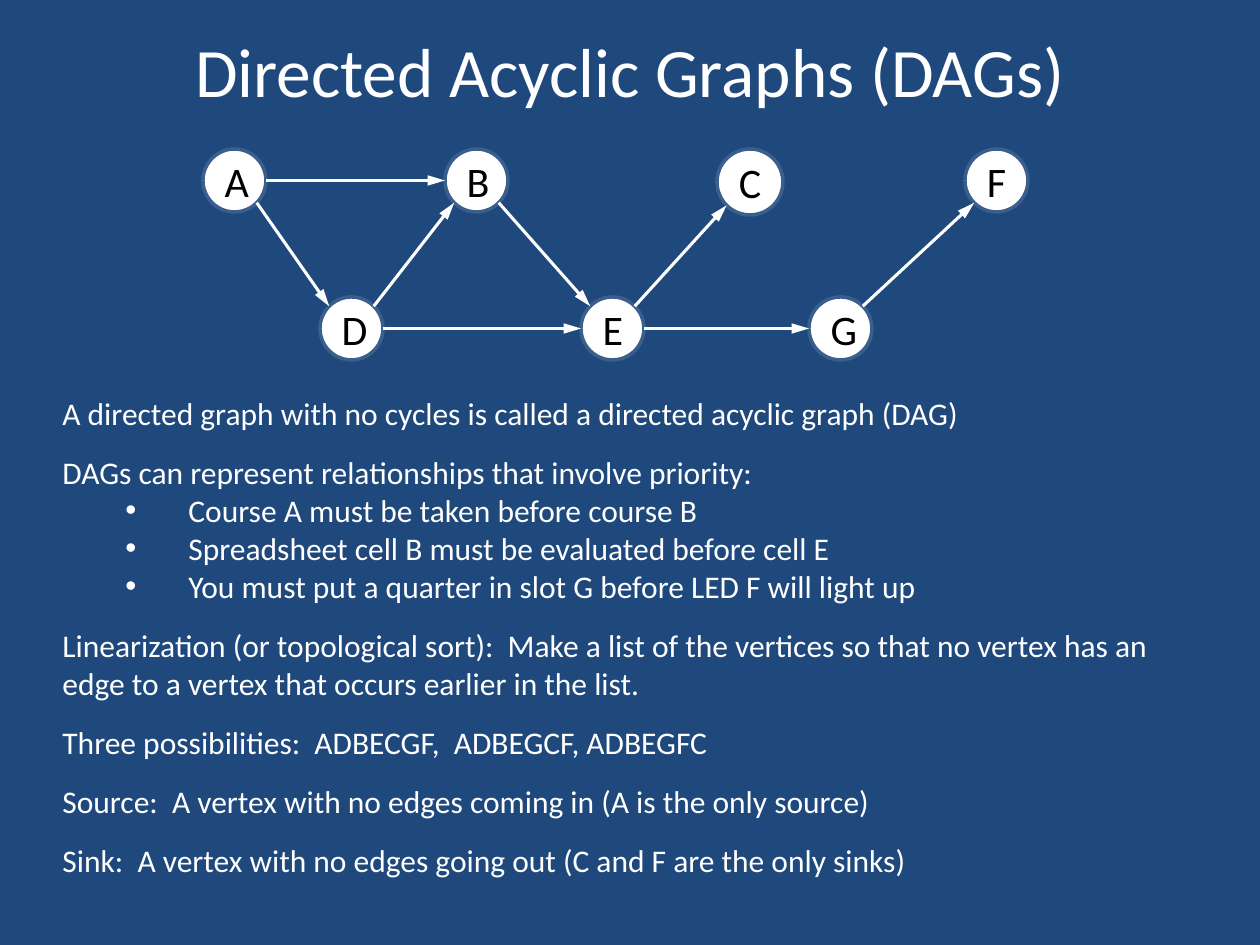
from math import sqrt
from pptx import Presentation
from pptx.dml.color import RGBColor
from pptx.enum import shapes, text
from pptx.oxml.ns import qn
from pptx.util import Emu, Pt
from lxml import etree

TITLE = "Directed Acyclic Graphs (DAGs)"
UPPER, LOWER = 149, 297
NODES = {
    "A": (203, UPPER, 63), "B": (445, UPPER, 63), "C": (717, UPPER, 66),
    "F": (965, UPPER, 63), "D": (320, LOWER, 63), "E": (581, LOWER, 63),
    "G": (809, LOWER, 63),
}
EDGES = ["AB", "AD", "DB", "BE", "EC", "DE", "EG", "GF"]
NOTES = [
    ("A directed graph with no cycles is called a directed acyclic graph (DAG)", []),
    ("DAGs can represent relationships that involve priority:", [
        "Course A must be taken before course B",
        "Spreadsheet cell B must be evaluated before cell E",
        "You must put a quarter in slot G before LED F will light up"]),
    ("Linearization (or topological sort):  Make a list of the vertices so that "
     "no vertex has an edge to a vertex that occurs earlier in the list.", []),
    ("Three possibilities:  ADBECGF,  ADBEGCF, ADBEGFC", []),
    ("Source:  A vertex with no edges coming in (A is the only source)", []),
    ("Sink:  A vertex with no edges going out (C and F are the only sinks)", []),
]
THEME = {
    "font": "Calibri", "back": "1F497D", "light": "FFFFFF", "dark": "000000",
    "ring": "3A5F8C", "title": 39.6, "node": 24, "body": 18, "gap": 12.2,
    "ring_width": 2, "edge_width": 1.75,
}


def px(value):
    """Turn pixels into EMU."""
    return Emu(round(value * 914400 / 126))


def color(name):
    """Return a theme colour."""
    return RGBColor.from_string(THEME[name])


def write(para, words, size="body", ink="light", align=None, before=0):
    """Write one formatted paragraph."""
    para.alignment = align
    para.space_before = Pt(before)
    span = para.add_run()
    span.text = words
    span.font.name = THEME["font"]
    span.font.size = Pt(THEME[size])
    span.font.color.rgb = color(ink)


def add_bullet(para):
    """Give a paragraph a hanging bullet."""
    props = para._p.get_or_add_pPr()
    props.set("marL", str(px(126)))
    props.set("indent", str(-px(63)))
    etree.SubElement(props, qn("a:buFont"), typeface="Arial")
    etree.SubElement(props, qn("a:buChar"), char="•")


def add_frame(page, left, top, width, height):
    """Add a wrapping text box and return its frame."""
    frame = page.shapes.add_textbox(px(left), px(top), px(width), px(height)).text_frame
    frame.word_wrap = True
    return frame


def add_node(page, name):
    """Draw one labelled vertex."""
    left, top, size = NODES[name]
    node = page.shapes.add_shape(shapes.MSO_SHAPE.OVAL, px(left), px(top), px(size), px(size))
    node.shadow.inherit = False
    node.fill.solid()
    node.fill.fore_color.rgb = color("light")
    node.line.color.rgb = color("ring")
    node.line.width = Pt(THEME["ring_width"])
    node.text_frame.vertical_anchor = text.MSO_ANCHOR.MIDDLE
    write(node.text_frame.paragraphs[0], name, size="node", ink="dark",
          align=text.PP_ALIGN.CENTER)


def rim(name, other):
    """Return the point on a vertex rim that faces another vertex."""
    left, top, size = NODES[name]
    far_left, far_top, _ = NODES[other]
    radius = size / 2
    reach = radius if top == far_top else radius / sqrt(2)
    across = reach if far_left > left else -reach
    down = 0 if top == far_top else reach if far_top > top else -reach
    return px(left + radius + across), px(top + radius + down)


def add_edge(page, start, end):
    """Draw one arrow between two vertices."""
    edge = page.shapes.add_connector(
        shapes.MSO_CONNECTOR.STRAIGHT, *rim(start, end), *rim(end, start))
    edge.line.color.rgb = color("light")
    edge.line.width = Pt(THEME["edge_width"])
    etree.SubElement(edge.line._get_or_add_ln(), qn("a:tailEnd"),
                     type="triangle", w="med", len="lg")
    etree.SubElement(edge._element.spPr, qn("a:effectLst"))


def add_notes(page):
    """Write the explanations below the graph."""
    frame = add_frame(page, 50, 388, 1113, 538)
    for index, (lead, bullets) in enumerate(NOTES):
        para = frame.add_paragraph() if index else frame.paragraphs[0]
        write(para, lead, before=THEME["gap"] if index else 0)
        for bullet in bullets:
            para = frame.add_paragraph()
            write(para, bullet)
            add_bullet(para)


def main():
    """Build the slide."""
    deck = Presentation()
    deck.slide_width, deck.slide_height = px(1260), px(945)
    page = deck.slides.add_slide(deck.slide_layouts[6])
    page.background.fill.solid()
    page.background.fill.fore_color.rgb = color("back")
    frame = add_frame(page, 63, 21, 1134, 98)
    frame.vertical_anchor = text.MSO_ANCHOR.MIDDLE
    write(frame.paragraphs[0], TITLE, size="title", align=text.PP_ALIGN.CENTER)
    for name in NODES:
        add_node(page, name)
    for start, end in EDGES:
        add_edge(page, start, end)
    add_notes(page)
    deck.save("out.pptx")


main()
